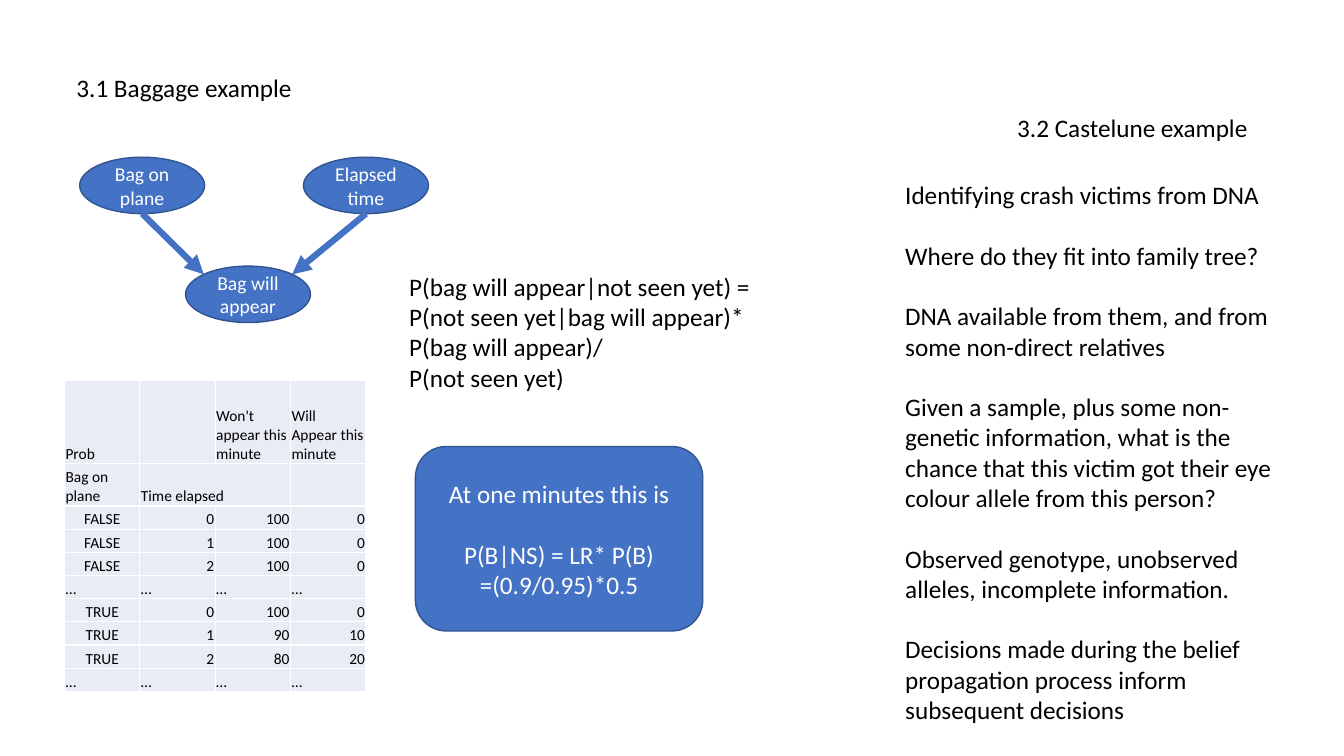
from dataclasses import dataclass
from math import sqrt

from lxml import etree
from pptx import Presentation
from pptx.dml.color import RGBColor
from pptx.enum import shapes, text
from pptx.oxml.ns import qn
from pptx.util import Emu, Pt

PX = 9144  # one hundred px to the inch
FONT = "Calibri"
BLACK, WHITE = "000000", "FFFFFF"
BLUE, EDGE, PALE = "4472C4", "325491", "E9EBF5"
LINE_GAP = 21.7  # points: one line of 18 pt text
ALIGN = text.PP_ALIGN


@dataclass
class Box:
    left: int
    top: int
    width: int
    height: int

    def emu(self) -> list[Emu]:
        return [px(n) for n in (self.left, self.top, self.width, self.height)]


@dataclass
class Note:
    box: Box
    lines: list[str]
    wrap: bool = False
    gap: float = 0


@dataclass
class Node:
    box: Box
    lines: list[str]
    kind: shapes.MSO_SHAPE = shapes.MSO_SHAPE.OVAL
    size: int = 14
    gap: float = 0  # points after the first line


BAG = Node(Box(79, 156, 124, 56), ["Bag on plane"])
TIME = Node(Box(301, 156, 124, 56), ["Elapsed time"])
APPEAR = Node(Box(184, 264, 124, 56), ["Bag will appear"])
RESULT = Node(
    Box(412, 443, 285, 183),
    ["At one minutes this is", "P(B|NS) = LR* P(B)", "=(0.9/0.95)*0.5"],
    shapes.MSO_SHAPE.ROUNDED_RECTANGLE, 18, LINE_GAP,
)

NOTES = [
    Note(Box(66, 67, 236, 40), ["3.1 Baggage example"]),
    Note(Box(999, 107, 258, 40), ["3.2 Castelune example"]),
    Note(Box(396, 264, 362, 131), [
        "P(bag will appear|not seen yet) =",
        "P(not seen yet|bag will appear)*",
        "P(bag will appear)/",
        "P(not seen yet)",
    ]),
    Note(Box(888, 173, 386, 555), [
        "Identifying crash victims from DNA",
        "Where do they fit into family tree?",
        "DNA available from them, and from some non-direct relatives",
        "Given a sample, plus some non-genetic information, what is the chance "
        "that this victim got their eye colour allele from this person?",
        "Observed genotype, unobserved alleles, incomplete information.",
        "Decisions made during the belief propagation process inform "
        "subsequent decisions",
    ], wrap=True, gap=LINE_GAP),
]

DOTS = ["…"] * 4
PROBS = [
    ["Prob", "", "Won't appear this minute", "Will Appear this minute"],
    ["Bag on plane", "Time elapsed", "", ""],
    ["FALSE", "0", "100", "0"],
    ["FALSE", "1", "100", "0"],
    ["FALSE", "2", "100", "0"],
    DOTS,
    ["TRUE", "0", "100", "0"],
    ["TRUE", "1", "90", "10"],
    ["TRUE", "2", "80", "20"],
    DOTS,
]
WIDE = 299
ROWS = [83, 42] + [23] * 8


def px(n: float) -> Emu:
    return Emu(round(n * PX))


def rgb(code: str) -> RGBColor:
    return RGBColor.from_string(code)


def style(para, size: int, color: str, align=ALIGN.LEFT) -> None:
    para.alignment = align
    para.font.name = FONT
    para.font.size = Pt(size)
    para.font.color.rgb = rgb(color)


def add_note(slide, note: Note) -> None:
    frame = slide.shapes.add_textbox(*note.box.emu()).text_frame
    frame.word_wrap = note.wrap
    frame.auto_size = text.MSO_AUTO_SIZE.SHAPE_TO_FIT_TEXT
    frame.text = "\n".join(note.lines)
    for para in frame.paragraphs:
        style(para, 18, BLACK)
    for para in frame.paragraphs[:-1]:
        para.space_after = Pt(note.gap)


def add_node(slide, node: Node) -> None:
    shape = slide.shapes.add_shape(node.kind, *node.box.emu())
    shape.shadow.inherit = False
    shape.fill.solid()
    shape.fill.fore_color.rgb = rgb(BLUE)
    shape.line.color.rgb = rgb(EDGE)
    shape.line.width = Pt(1)
    frame = shape.text_frame
    frame.word_wrap = True
    frame.vertical_anchor = text.MSO_ANCHOR.MIDDLE
    frame.text = "\n".join(node.lines)
    for para in frame.paragraphs:
        style(para, node.size, WHITE, ALIGN.CENTER)
    frame.paragraphs[0].space_after = Pt(node.gap)


def add_arrow(slide, start: Box, end: Box, side: int) -> None:
    """Run from the foot of one oval to the upper left (-1) or right (1) of another."""
    x = end.left + end.width / 2 * (1 + side / sqrt(2))
    y = end.top + end.height / 2 * (1 - 1 / sqrt(2))
    line = slide.shapes.add_connector(
        shapes.MSO_CONNECTOR.STRAIGHT,
        px(start.left + start.width / 2), px(start.top + start.height), px(x), px(y),
    )
    line.line.color.rgb = rgb(BLUE)
    line.line.width = Pt(4.5)
    etree.SubElement(line.line._get_or_add_ln(), qn("a:tailEnd"), type="triangle")
    etree.SubElement(line._element.spPr, qn("a:effectLst"))


def add_edges(cell) -> None:
    props = cell._tc.get_or_add_tcPr()
    for side in ("lnL", "lnR", "lnT", "lnB"):
        edge = etree.SubElement(props, qn(f"a:{side}"), w=str(Pt(1)))
        fill = etree.SubElement(edge, qn("a:solidFill"))
        etree.SubElement(fill, qn("a:srgbClr"), val=WHITE)


def set_cell(cell, words: str, align) -> None:
    add_edges(cell)
    cell.fill.solid()
    cell.fill.fore_color.rgb = rgb(PALE)
    cell.vertical_anchor = text.MSO_ANCHOR.BOTTOM
    cell.margin_left = cell.margin_right = cell.margin_top = px(1)
    cell.margin_bottom = 0
    cell.text = words
    style(cell.text_frame.paragraphs[0], 11, BLACK, align)


def add_probs(slide) -> None:
    box = Box(64, 377, WIDE, sum(ROWS))
    table = slide.shapes.add_table(len(PROBS), 4, *box.emu()).table
    table.first_row = table.horz_banding = False
    for col in table.columns:
        col.width = px(WIDE / 4)
    for r, (row, high) in enumerate(zip(PROBS, ROWS)):
        table.rows[r].height = px(high)
        for c, words in enumerate(row):
            align = ALIGN.LEFT
            if words in ("TRUE", "FALSE"):
                align = ALIGN.CENTER
            elif words.isdigit():
                align = ALIGN.RIGHT
            set_cell(table.cell(r, c), words, align)
    table.cell(1, 1).merge(table.cell(1, 2))


def main() -> None:
    deck = Presentation()
    deck.slide_width, deck.slide_height = px(1333), px(750)
    slide = deck.slides.add_slide(deck.slide_layouts[6])
    for node in (BAG, TIME, APPEAR):
        add_node(slide, node)
    add_arrow(slide, BAG.box, APPEAR.box, -1)
    add_arrow(slide, TIME.box, APPEAR.box, 1)
    add_probs(slide)
    add_node(slide, RESULT)
    for note in NOTES:
        add_note(slide, note)
    deck.save("out.pptx")


if __name__ == "__main__":
    main()
